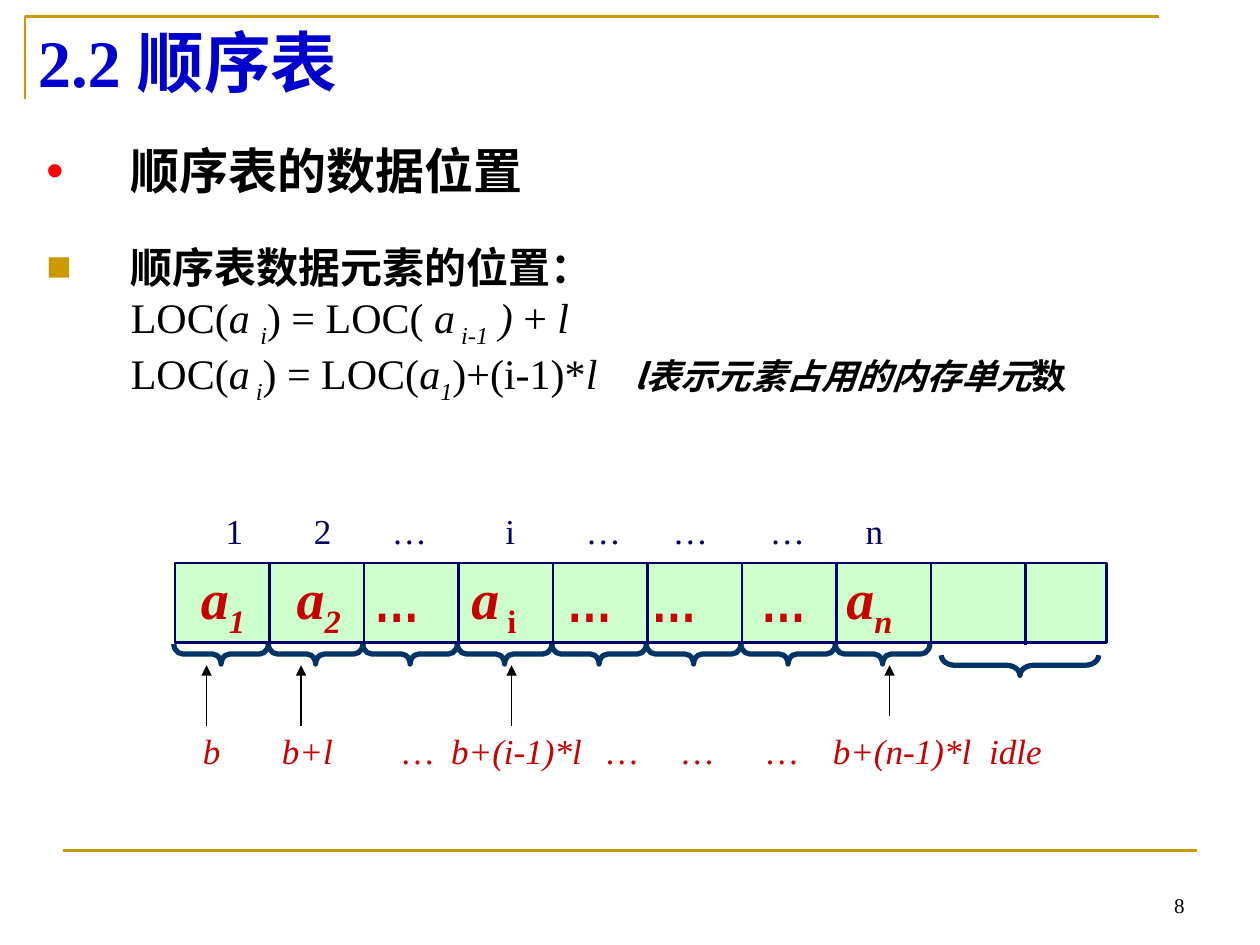
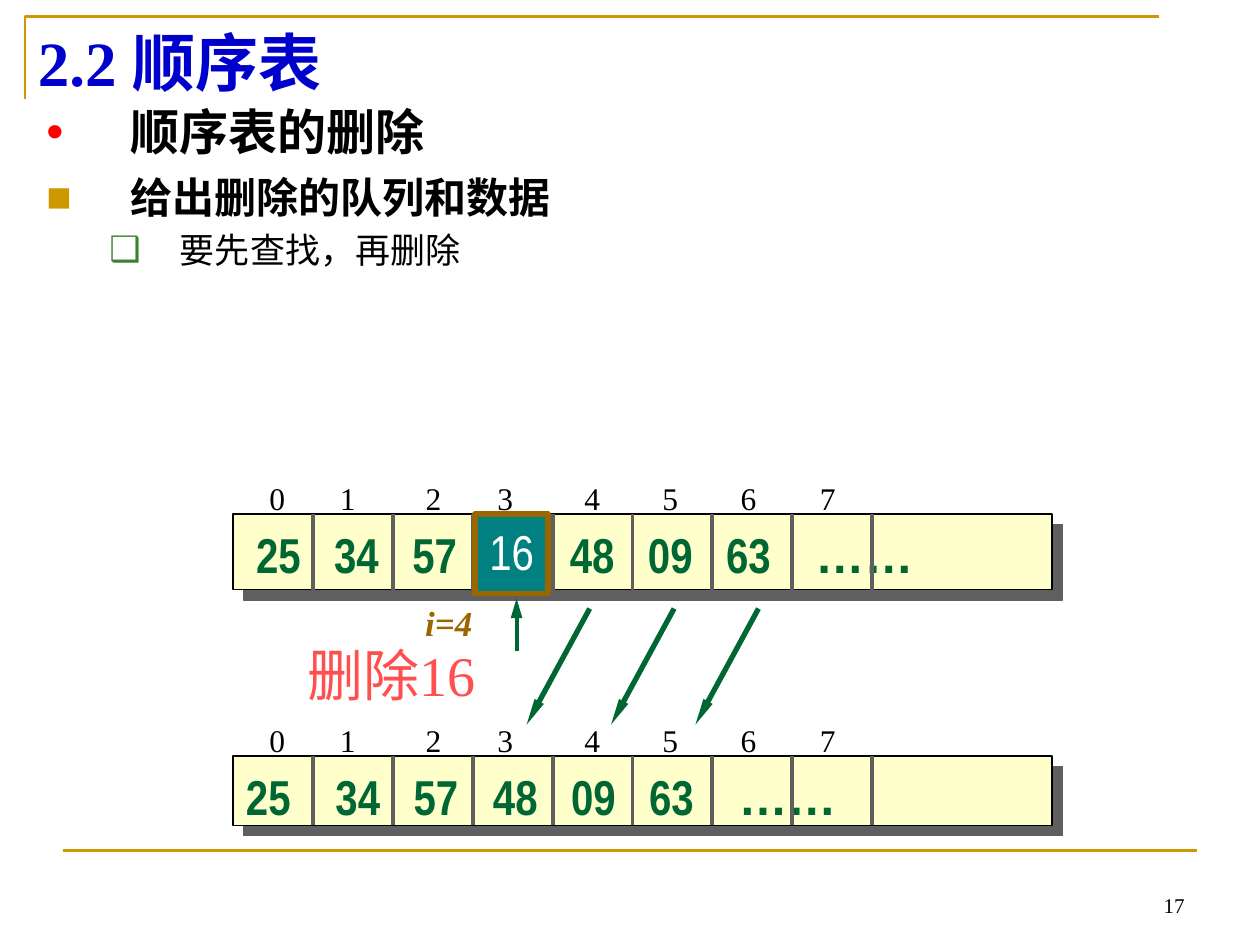
from lxml import etree
from pptx import Presentation
from pptx.dml.color import RGBColor
from pptx.enum.shapes import MSO_CONNECTOR as Connector, MSO_SHAPE as Shape
from pptx.enum.text import MSO_ANCHOR as Anchor, MSO_AUTO_SIZE as AutoSize, PP_ALIGN as Align
from pptx.oxml.ns import qn
from pptx.util import Inches, Pt

COLORS = {
    "gold": "CC9900", "title": "0000CC", "black": "000000", "white": "FFFFFF",
    "red": "FF0000", "leaf": "3B812F", "navy": "000066", "mint": "CCFFCC",
    "crimson": "C80000", "ellipsis": "CC0000", "brace": "003366",
    "cream": "FFFFCC", "gray": "5F5F5F", "green": "006633",
    "teal": "008080", "brown": "996600", "coral": "FF5050",
}
SERIF, NARROW, SANS, CJK = "Times New Roman", "Arial Narrow", "Arial", "Noto Sans CJK SC"
TITLE_ONLY = 5


def rgb(name):
    return RGBColor.from_string(COLORS[name])


def sub(parent, tag, **attributes):
    return etree.SubElement(parent, qn(tag), {k: str(v) for k, v in attributes.items()})


def write(paragraph, text, size=20, color="black", font=SERIF, bold=False, italic=False,
          baseline=0):
    run = paragraph.add_run()
    run.text = text
    run.font.size = Pt(size)
    run.font.bold, run.font.italic = bold, italic
    run.font.color.rgb = rgb(color)
    run.font.name = font
    properties = run.font._element
    sub(properties, "a:ea", typeface=CJK)
    if baseline:
        properties.set("baseline", str(baseline * 1000))


def text_frame(slide, left, top, width, height, inset=0.0, anchor=Anchor.MIDDLE, wrap=False):
    frame = slide.shapes.add_textbox(
        Inches(left), Inches(top), Inches(width), Inches(height)).text_frame
    frame.margin_left = frame.margin_right = Inches(inset)
    frame.margin_top = frame.margin_bottom = Inches(inset / 2)
    frame.vertical_anchor = anchor
    frame.word_wrap = wrap
    return frame


def label(slide, x, y, text, width=0.6, align=Align.CENTER, **style):
    """Text centred on the point (x, y); returns its paragraph."""
    paragraph = text_frame(slide, x - width / 2, y - 0.25, width, 0.5).paragraphs[0]
    paragraph.alignment = align
    write(paragraph, text, **style)
    return paragraph


def label_row(slide, left, y, texts, offsets, **style):
    for text, offset in zip(texts, offsets):
        label(slide, left + offset, y, text, **style)


def line(slide, start, end, color, weight, head_length=None, head_width="med"):
    connector = slide.shapes.add_connector(
        Connector.STRAIGHT, *(Inches(v) for v in (*start, *end)))
    connector.line.color.rgb = rgb(color)
    connector.line.width = Pt(weight)
    properties = connector._element.spPr
    if head_length:
        sub(properties.find(qn("a:ln")), "a:tailEnd", type="triangle",
            w=head_width, len=head_length)
    sub(properties, "a:effectLst")


def box(slide, kind, left, top, width, height, fill, outline, weight):
    shape = slide.shapes.add_shape(
        kind, Inches(left), Inches(top), Inches(width), Inches(height))
    shape.shadow.inherit = False
    if fill:
        shape.fill.solid()
        shape.fill.fore_color.rgb = rgb(fill)
    else:
        shape.fill.background()
    shape.line.color.rgb = rgb(outline)
    shape.line.width = Pt(weight)
    return shape


def dividers(slide, left, top, height, pitch, count, color, weight):
    for i in range(1, count + 1):
        x = left + i * pitch
        line(slide, (x, top), (x, top + height), color, weight)


def base_slide(deck, title_size, number):
    slide = deck.slides.add_slide(deck.slide_layouts[TITLE_ONLY])
    builder = slide.shapes.build_freeform(Inches(0.2), Inches(0.79))
    builder.add_line_segments(
        [(Inches(0.2), Inches(0.13)), (Inches(9.2), Inches(0.13))], close=False)
    corner = builder.convert_to_shape()
    corner.shadow.inherit = False
    corner.fill.background()
    corner.line.color.rgb = rgb("gold")
    corner.line.width = Pt(1.5)
    line(slide, (0.5, 6.75), (9.5, 6.75), "gold", 1.5)

    title = slide.shapes.title
    title.left, title.top, title.width, title.height = (
        Inches(v) for v in (0.2, 0.13, 9, 0.71))
    title.text_frame.auto_size = AutoSize.NONE
    title.text_frame.vertical_anchor = Anchor.MIDDLE
    heading = title.text_frame.paragraphs[0]
    heading.alignment = Align.LEFT
    write(heading, "2.2 顺序表", size=title_size, color="title", bold=True)

    footer = text_frame(slide, 7.17, 6.83, 2.33, 0.5, 0.1, Anchor.BOTTOM).paragraphs[0]
    footer.alignment = Align.RIGHT
    write(footer, str(number), size=12)
    return slide


def outline_item(frame, spacing, before=0, bullet=None, bullet_color="black",
                 margin=0.67, hang=0.67, tab=None):
    """Next paragraph of an outline; spacing and before are in points."""
    paragraph = frame.paragraphs[0]
    if paragraph.runs:
        paragraph = frame.add_paragraph()
    properties = paragraph._p.get_or_add_pPr()
    properties.set("marL", str(Inches(margin)))
    properties.set("indent", str(-Inches(hang) if bullet else 0))
    if bullet:
        sub(sub(properties, "a:buClr"), "a:srgbClr", val=COLORS[bullet_color])
        sub(properties, "a:buFont", typeface=SANS)
        sub(properties, "a:buChar", char=bullet)
    if tab:
        sub(sub(properties, "a:tabLst"), "a:tab", pos=Inches(tab), algn="l")
    paragraph.line_spacing = Pt(spacing)
    paragraph.space_before = Pt(before)
    return paragraph


def outline(slide, left, top, width, height, topic, point, point_spacing, point_before):
    frame = text_frame(slide, left, top, width, height, 0.1, Anchor.TOP, wrap=True)
    write(outline_item(frame, 33.5, bullet="•", bullet_color="red"),
          topic, size=28, font=CJK, bold=True)
    write(outline_item(frame, point_spacing, point_before, "■", "gold"),
          point, size=24, font=CJK, bold=True)
    return frame


def formula(paragraph, parts):
    """Parts are (text, marks): i for italic, s for subscript."""
    for text, marks in parts:
        write(paragraph, text, size=24, italic="i" in marks, baseline=-25 if "s" in marks else 0)


def brace(slide, left, top, width, curl):
    depth = 0.16
    shape = box(slide, Shape.LEFT_BRACE, left + (width - depth) / 2,
                top + (depth - width) / 2, depth, width, None, "brace", 3)
    shape.rotation = 270
    shape.adjustments[0] = curl


def address_array(slide, left, top):
    pitch, height = 0.75, 0.63
    box(slide, Shape.RECTANGLE, left, top, 7.39, height, "mint", "navy", 1.5)
    dividers(slide, left, top, height + 0.02, pitch, 9, "navy", 1.5)
    label_row(slide, left, top - 0.26, ["1", "2", "…", "i", "…", "…", "…", "n"],
              [0.47, 1.17, 1.86, 2.66, 3.4, 4.09, 4.86, 5.55], color="navy")
    style = dict(size=32, color="crimson", bold=True)
    elements = [(0.38, "1", True), (1.14, "2", True), (2.53, " i", False), (5.51, "n", True)]
    for offset, index, slanted in elements:
        element = label(slide, left + offset, top + 0.31, "a", width=0.8, italic=True, **style)
        write(element, index, baseline=-25, italic=slanted, **style)
    label_row(slide, left, top + 0.29, ["…"] * 4, [1.76, 3.29, 3.96, 4.83],
              size=32, color="ellipsis", font=NARROW, bold=True)
    for i in range(8):
        brace(slide, left - 0.01 + i * pitch, top + 0.64, pitch, 0.44)
    brace(slide, left + 6.08, top + 0.73, 1.25, 0.68)
    for offset, tail in [(0.25, 1.29), (1, 1.29), (2.67, 1.29), (5.67, 1.21)]:
        line(slide, (left + offset, top + tail), (left + offset, top + 0.81),
             "black", 0.75, "med")
    label_row(slide, left, top + 1.49,
              ["b", "b+l", "…", "b+(i-1)*l", "…", "…", "…", "b+(n-1)*l", "idle"],
              [0.29, 1.05, 1.93, 2.71, 3.55, 4.15, 4.82, 5.77, 6.67],
              width=1.4, color="crimson", italic=True)


def location_slide(deck):
    slide = base_slide(deck, 38, 8)
    frame = outline(slide, 0.27, 1.07, 8.66, 4.41, "顺序表的数据位置",
                    "顺序表数据元素的位置：", 31.5, 21)
    formula(outline_item(frame, 33), [
        ("LOC(", ""), ("a ", "i"), ("i", "is"), (") = LOC(", ""), (" a", "i"),
        (" i-1", "is"), (" ) ", "i"), ("+ ", ""), ("l", "i")])
    general = outline_item(frame, 32, tab=4.92)
    formula(general, [
        ("LOC(", ""), ("a", "i"), (" i", "is"), (") = LOC(", ""), ("a", "i"),
        ("1", "is"), (")+(i-1)*", ""), ("l\t", "i")])
    write(general, "l表示元素占用的内存单元", font=CJK, bold=True, italic=True)
    write(general, "数", font=CJK, bold=True)
    address_array(slide, 1.39, 4.47)


def value_array(slide, left, top, height, values, offsets):
    bar = box(slide, Shape.RECTANGLE, left, top, 6.5, height, "cream", "black", 0.75)
    shadow = sub(bar._element.spPr.find(qn("a:effectLst")), "a:outerShdw",
                 dist=Pt(8.5), dir=45 * 60000, algn="ctr", rotWithShape=0)
    sub(shadow, "a:srgbClr", val=COLORS["gray"])
    style = dict(size=28, color="green", bold=True)
    label_row(slide, left, top + 0.32, values, offsets, font=NARROW, **style)
    label(slide, left + offsets[-1], top + 0.32, "……", width=1, font=SANS, **style)
    dividers(slide, left, top, height, 0.634, 8, "gray", 2.25)
    label_row(slide, left, top - 0.13, "01234567",
              [0.35, 0.91, 1.59, 2.16, 2.85, 3.47, 4.09, 4.72], size=18)


def deletion_step(slide, left, top):
    """The removed cell, its captions and the moves, from the cell's corner."""
    removed = box(slide, Shape.RECTANGLE, left, top, 0.58, 0.63, "teal", "brown", 3)
    frame = removed.text_frame
    frame.margin_left = frame.margin_right = frame.margin_top = 0
    frame.word_wrap = False
    frame.paragraphs[0].alignment = Align.CENTER
    write(frame.paragraphs[0], "16", size=28, color="white", font=NARROW)
    line(slide, (left + 0.33, top + 1.09), (left + 0.33, top + 0.67), "green", 2.25, "lg")
    label(slide, left - 0.32, top + 0.86, "i=4", align=Align.RIGHT,
          color="brown", bold=True, italic=True)
    label(slide, left - 0.66, top + 1.27, "删除16", width=2, size=32, color="coral")
    for i in range(3):
        start = left + 0.91 + i * 0.67
        line(slide, (start, top + 0.75), (start - 0.5, top + 1.67), "green", 3, "lg", "sm")


def deletion_slide(deck):
    slide = base_slide(deck, 36, 17)
    frame = outline(slide, 0.27, 0.76, 9.21, 4.65, "顺序表的删除",
                    "给出删除的队列和数据", 29, 6)
    write(outline_item(frame, 23, 5, "❑", "leaf", margin=1.06, hang=0.56),
          "要先查找，再删除", font=CJK)
    value_array(slide, 1.85, 4.08, 0.6, ["25", "34", "57", "48", "09", "63"],
                [0.36, 0.98, 1.6, 2.85, 3.47, 4.09, 5.01])
    value_array(slide, 1.85, 6, 0.55, ["25", "34", "57", "48", "09", "63"],
                [0.28, 0.99, 1.61, 2.24, 2.86, 3.48, 4.4])
    deletion_step(slide, 3.77, 4.08)


def main():
    deck = Presentation()
    deck.slide_width, deck.slide_height = Inches(10), Inches(7.5)
    location_slide(deck)
    deletion_slide(deck)
    deck.save("out.pptx")


if __name__ == "__main__":
    main()
